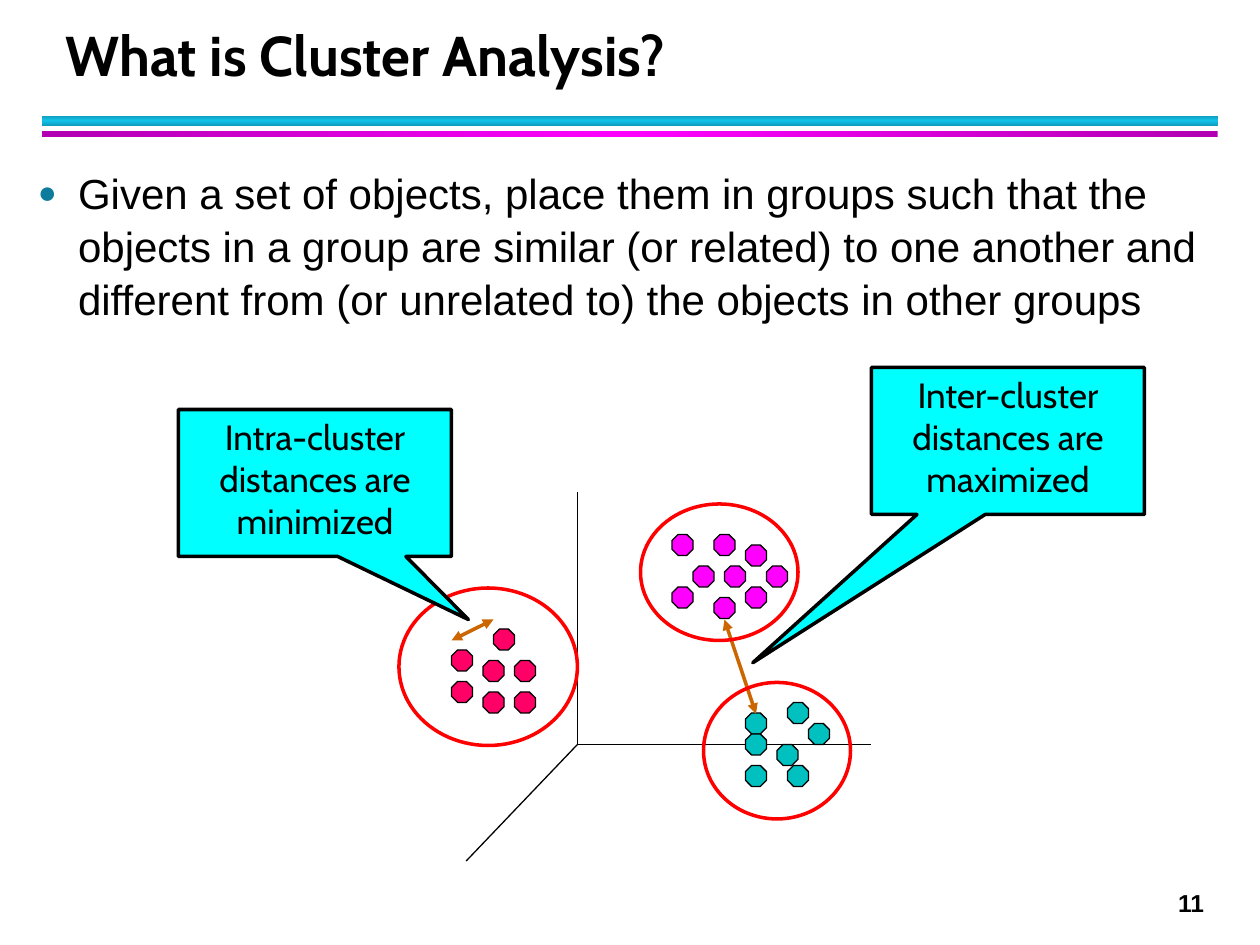
from dataclasses import dataclass

from copy import deepcopy
from lxml import etree
from pptx import Presentation
from pptx import util as u
from pptx.dml.color import RGBColor
from pptx.enum import shapes, text
from pptx.oxml.ns import qn


@dataclass(frozen=True)
class Theme:
    ink: str = "000000"
    bullet: str = "0C7B9C"
    callout: str = "00FFFF"
    ring: str = "FF0000"
    arrow: str = "CC6600"
    bar_blue: tuple = ("0E9BBA", "12C2E9")
    bar_magenta: tuple = ("B200B2", "FF00FF")
    heading: str = "Cabin"
    reading: str = "Arial"
    title_size: int = 32
    body_size: int = 24
    callout_size: int = 20
    number_size: int = 14
    thin: float = 0.75
    thick: float = 2


@dataclass(frozen=True)
class Cluster:
    color: str
    dots: tuple


@dataclass(frozen=True)
class Callout:
    words: str
    corner: tuple
    tip: tuple
    arrow: tuple


THEME = Theme()
DOT_SIZE = 2
CALLOUT_SIZE = (26, 14)

# The diagram lies on a grid of twelve steps to the inch.
AXES = (((55, 46.9), (55, 70.9)), ((55, 70.9), (83, 70.9)), ((55, 70.9), (44.4, 82)))
CLUSTERS = (
    Cluster("FF00FF", ((66, 53.9), (69, 53.9), (68, 50.9), (68, 56.9), (73, 53.9),
                       (71, 51.9), (64, 50.9), (71, 55.9), (64, 55.9))),
    Cluster("FF0066", ((43, 61.9), (46, 62.9), (46, 65.9), (49, 62.9), (47, 59.9),
                       (49, 65.9), (43, 64.9))),
    Cluster("00C0C0", ((71, 67.9), (77, 68.9), (74, 70.9), (71, 72.9), (75, 72.9),
                       (71, 69.9), (75, 66.9))),
)
RINGS = ((38, 56, 17, 15), (61, 48, 15, 13), (67, 65, 14, 13))
INTER = Callout("Inter-cluster distances are maximized", (83, 35), (-0.935, 1.509),
                ((72, 68), (69, 59)))
INTRA = Callout("Intra-cluster distances are minimized", (17, 39), (0.562, 0.929),
                ((43, 61), (47, 59)))


def grid(*steps: float) -> list:
    return [u.Cm(step * 2.54 / 12) for step in steps]


def cm(*values: float) -> list:
    return [u.Cm(value) for value in values]


def apply(target, values: dict) -> None:
    for name, value in values.items():
        setattr(target, name, value)


def place(shape, left: float, top: float, width: float, height: float) -> None:
    apply(shape, dict(zip(("left", "top", "width", "height"), cm(left, top, width, height))))


def write(para, words: str, font: str, size: float, bold: bool = False) -> None:
    span = para.add_run()
    span.text = words
    apply(span.font, {"name": font, "size": u.Pt(size), "bold": bold})
    span.font.color.rgb = RGBColor.from_string(THEME.ink)


def outline(shape, color: str, width: float) -> None:
    shape.line.color.rgb = RGBColor.from_string(color)
    shape.line.width = u.Pt(width)


def add_figure(page, kind, box: tuple, fill: str | None, line: str, width: float):
    shape = page.shapes.add_shape(kind, *grid(*box))
    shape.shadow.inherit = False
    if fill:
        shape.fill.solid()
        shape.fill.fore_color.rgb = RGBColor.from_string(fill)
    else:
        shape.fill.background()
    outline(shape, line, width)
    return shape


def add_line(page, ends: tuple, color: str, width: float, arrows: bool = False) -> None:
    start, end = ends
    line = page.shapes.add_connector(shapes.MSO_CONNECTOR.STRAIGHT, *grid(*start, *end))
    outline(line, color, width)
    properties = line._element.spPr
    if arrows:
        for tag in ("a:headEnd", "a:tailEnd"):
            etree.SubElement(properties.find(qn("a:ln")), qn(tag), type="triangle")
    etree.SubElement(properties, qn("a:effectLst"))


def add_bar(page, box: tuple, colors: tuple, angle: int) -> None:
    """Draw a rule whose gradient runs from edge colour to middle colour and back."""
    edge, middle = colors
    bar = page.shapes.add_shape(shapes.MSO_SHAPE.RECTANGLE, *cm(*box))
    bar.shadow.inherit = False
    bar.line.fill.background()
    bar.fill.gradient()
    bar.fill.gradient_angle = angle
    stop_list = bar._element.spPr.find(".//" + qn("a:gsLst"))
    stop_list.append(deepcopy(stop_list[-1]))
    for stop, position, color in zip(bar.fill.gradient_stops, (0, 0.5, 1), (edge, middle, edge)):
        stop.position = position
        stop.color.rgb = RGBColor.from_string(color)


def add_callout(page, callout: Callout) -> None:
    """Draw the distance arrow and the callout that explains it."""
    add_line(page, callout.arrow, THEME.arrow, THEME.thick, arrows=True)
    box = add_figure(page, shapes.MSO_SHAPE.RECTANGULAR_CALLOUT, callout.corner + CALLOUT_SIZE,
                     THEME.callout, THEME.ink, THEME.thick)
    for index, value in enumerate(callout.tip):
        box.adjustments[index] = value
    apply(box.text_frame, {"word_wrap": True, "vertical_anchor": text.MSO_ANCHOR.TOP})
    para = box.text_frame.paragraphs[0]
    para.alignment = text.PP_ALIGN.CENTER
    write(para, callout.words, THEME.heading, THEME.callout_size)


def add_bullet(para) -> None:
    properties = para._p.get_or_add_pPr()
    apply_indent = {"marL": u.Cm(0.81), "indent": u.Cm(-0.81)}
    for name, value in apply_indent.items():
        properties.set(name, str(value))
    color = etree.SubElement(properties, qn("a:buClr"))
    etree.SubElement(color, qn("a:srgbClr"), val=THEME.bullet)
    etree.SubElement(properties, qn("a:buSzPct"), val="75000")
    etree.SubElement(properties, qn("a:buChar"), char="●")


def fill_text(page) -> None:
    title, body = page.placeholders
    place(title, 1.07, 0.43, 23.01, 1.47)
    apply(title.text_frame, {"vertical_anchor": text.MSO_ANCHOR.BOTTOM,
                             "auto_size": text.MSO_AUTO_SIZE.NONE})
    para = title.text_frame.paragraphs[0]
    apply(para, {"alignment": text.PP_ALIGN.LEFT, "line_spacing": u.Pt(36)})
    write(para, "What is Cluster Analysis?", THEME.heading, THEME.title_size, bold=True)

    place(body, 0.51, 3.2, 24.26, 3.58)
    body.text_frame.auto_size = text.MSO_AUTO_SIZE.NONE
    para = body.text_frame.paragraphs[0]
    add_bullet(para)
    apply(para, {"space_before": u.Pt(0), "space_after": u.Pt(4), "line_spacing": 1.05})
    write(para, "Given a set of objects, place them in groups such that the objects in a group "
          "are similar (or related) to one another and different from (or unrelated to) "
          "the objects in other groups", THEME.reading, THEME.body_size)

    number = page.shapes.add_textbox(*cm(23.5, 17.78, 1.12, 0.86))
    number.text_frame.word_wrap = False
    write(number.text_frame.paragraphs[0], "11", THEME.reading, THEME.number_size, bold=True)


def draw_diagram(page) -> None:
    for ends in AXES:
        add_line(page, ends, THEME.ink, THEME.thin)
    for cluster in CLUSTERS:
        for dot in cluster.dots:
            add_figure(page, shapes.MSO_SHAPE.OCTAGON, dot + (DOT_SIZE, DOT_SIZE),
                       cluster.color, THEME.ink, THEME.thin)
    add_callout(page, INTER)
    for ring in RINGS:
        add_figure(page, shapes.MSO_SHAPE.OVAL, ring, None, THEME.ring, THEME.thick)
    add_callout(page, INTRA)


def main() -> None:
    deck = Presentation()
    apply(deck, {"slide_width": u.Cm(25.4), "slide_height": u.Cm(19.05)})
    page = deck.slides.add_slide(deck.slide_layouts[1])
    add_bar(page, (0.85, 2.33, 23.7, 0.21), THEME.bar_blue, 90)
    add_bar(page, (0.85, 2.65, 23.7, 0.11), THEME.bar_magenta, 0)
    fill_text(page)
    draw_diagram(page)
    deck.save("out.pptx")


if __name__ == "__main__":
    main()
